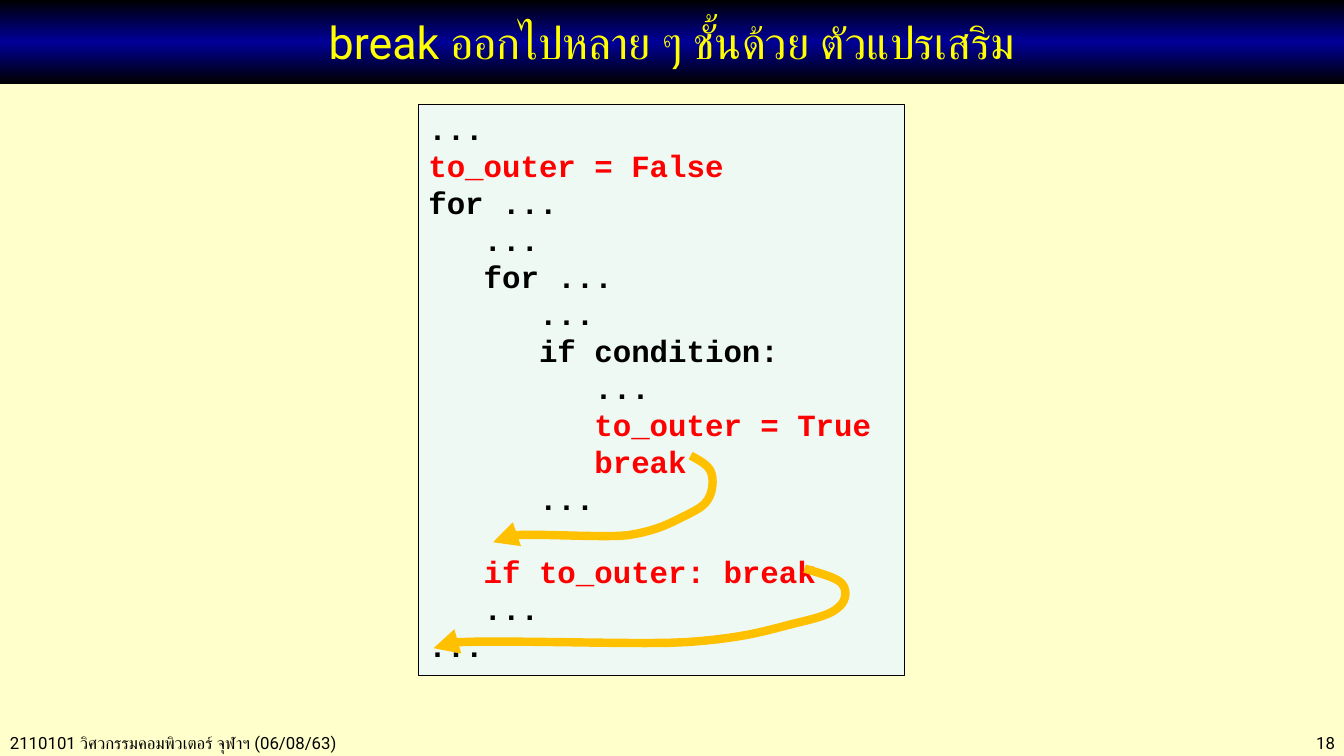
import copy
import dataclasses

import lxml.etree
import pptx
import pptx.dml.color
import pptx.enum.shapes
import pptx.enum.text
import pptx.oxml.ns
import pptx.util

RGBColor = pptx.dml.color.RGBColor
Align = pptx.enum.text.PP_ALIGN
Anchor = pptx.enum.text.MSO_ANCHOR

BLACK = RGBColor(0x00, 0x00, 0x00)
NAVY = RGBColor(0x00, 0x00, 0x99)
YELLOW = RGBColor(0xFF, 0xFF, 0x00)
CREAM = RGBColor(0xFF, 0xFF, 0xCC)
MINT = RGBColor(0xEE, 0xF9, 0xF4)
RED = RGBColor(0xFF, 0x00, 0x00)
AMBER = RGBColor(0xFF, 0xC0, 0x00)

COLUMNS, ROWS = 13.33, 7.5
CELL = pptx.util.Inches(1)
CURVE_STEPS = 12
INDENT = "   "

Point = tuple[float, float]
Bezier = tuple[Point, Point, Point]


@dataclasses.dataclass(frozen=True)
class Frame:
    column: float
    row: float
    columns: float
    rows: float

    def lengths(self) -> list[int]:
        return [cells(value) for value in dataclasses.astuple(self)]


@dataclasses.dataclass(frozen=True)
class Footer:
    frame: Frame
    text: str
    alignment: Align


@dataclasses.dataclass(frozen=True)
class CodeLine:
    depth: int
    text: str
    color: RGBColor = BLACK


@dataclasses.dataclass(frozen=True)
class JumpArrow:
    start: Point
    curves: tuple[Bezier, ...]


TITLE = "break ออกไปหลาย ๆ ชั้นด้วย ตัวแปรเสริม"
TITLE_FRAME = Frame(0, 0, COLUMNS, 0.83)
CODE_FRAME = Frame(4.15, 1.04, 4.82, 5.66)

FOOTERS = (
    Footer(Frame(0, 7.22, 5.2, 0.3), "2110101 วิศวกรรมคอมพิวเตอร์ จุฬาฯ (06/08/63)", Align.LEFT),
    Footer(Frame(11.5, 7.22, 1.84, 0.3), "18", Align.RIGHT),
)

CODE_LINES = (
    CodeLine(0, "..."),
    CodeLine(0, "to_outer = False", RED),
    CodeLine(0, "for ..."),
    CodeLine(1, "..."),
    CodeLine(1, "for ..."),
    CodeLine(2, "..."),
    CodeLine(2, "if condition:"),
    CodeLine(3, "..."),
    CodeLine(3, "to_outer = True", RED),
    CodeLine(3, "break", RED),
    CodeLine(2, "..."),
    CodeLine(1, ""),
    CodeLine(1, "if to_outer: break", RED),
    CodeLine(1, "..."),
    CodeLine(0, "..."),
)

JUMP_ARROWS = (
    JumpArrow((6.85, 4.52), (
        ((6.94, 4.57), (7.02, 4.61), (7.05, 4.68)),
        ((7.08, 4.75), (7.07, 4.87), (7.03, 4.94)),
        ((6.99, 5.01), (6.95, 5.04), (6.81, 5.11)),
        ((6.68, 5.17), (6.55, 5.26), (6.23, 5.31)),
        ((5.91, 5.35), (4.77, 5.24), (4.89, 5.38)),
    )),
    JumpArrow((7.98, 5.64), (
        ((8.14, 5.69), (8.3, 5.73), (8.35, 5.79)),
        ((8.41, 5.86), (8.39, 5.97), (8.31, 6.03)),
        ((8.24, 6.09), (8.15, 6.12), (7.9, 6.18)),
        ((7.65, 6.24), (7.41, 6.33), (6.81, 6.37)),
        ((6.21, 6.41), (4.07, 6.3), (4.3, 6.43)),
    )),
)


def cells(value: float) -> int:
    return round(value * CELL)


def format_runs(paragraph, font_name: str, size: int, color: RGBColor, bold: bool = False) -> None:
    for run in paragraph.runs:
        run.font.name = font_name
        run.font.size = pptx.util.Pt(size)
        run.font.color.rgb = color
        run.font.bold = bold


def add_rectangle(slide, frame: Frame):
    shape = slide.shapes.add_shape(pptx.enum.shapes.MSO_SHAPE.RECTANGLE, *frame.lengths())
    shape.shadow.inherit = False
    return shape


def add_footer(slide, footer: Footer) -> None:
    text_frame = slide.shapes.add_textbox(*footer.frame.lengths()).text_frame
    text_frame.word_wrap = True
    text_frame.text = footer.text
    paragraph = text_frame.paragraphs[0]
    paragraph.alignment = footer.alignment
    format_runs(paragraph, "Roboto", 12, BLACK)


def add_title(slide) -> None:
    shape = add_rectangle(slide, TITLE_FRAME)
    shape.line.fill.background()
    shape.fill.gradient()
    shape.fill.gradient_angle = 90
    stop_list = shape._element.spPr.find(".//" + pptx.oxml.ns.qn("a:gsLst"))
    stop_list.append(copy.deepcopy(stop_list[-1]))
    for stop, position, color in zip(shape.fill.gradient_stops, (0, 0.5, 1), (BLACK, NAVY, BLACK)):
        stop.position = position
        stop.color.rgb = color
    text_frame = shape.text_frame
    text_frame.vertical_anchor = Anchor.MIDDLE
    text_frame.text = TITLE
    paragraph = text_frame.paragraphs[0]
    paragraph.alignment = Align.CENTER
    format_runs(paragraph, "Roboto", 32, YELLOW)


def add_code(slide) -> None:
    shape = add_rectangle(slide, CODE_FRAME)
    shape.fill.solid()
    shape.fill.fore_color.rgb = MINT
    shape.line.color.rgb = BLACK
    shape.line.width = pptx.util.Pt(0.75)
    text_frame = shape.text_frame
    text_frame.vertical_anchor = Anchor.TOP
    text_frame.text = "\n".join(INDENT * line.depth + line.text for line in CODE_LINES)
    for paragraph, line in zip(text_frame.paragraphs, CODE_LINES):
        paragraph.alignment = Align.LEFT
        format_runs(paragraph, "Courier New", 22, line.color, bold=True)


def curve_points(arrow: JumpArrow) -> list[tuple[int, int]]:
    points = []
    start = arrow.start
    for first, second, end in arrow.curves:
        for step in range(1, CURVE_STEPS + 1):
            t = step / CURVE_STEPS
            weights = ((1 - t) ** 3, 3 * t * (1 - t) ** 2, 3 * t ** 2 * (1 - t), t ** 3)
            controls = (start, first, second, end)
            x, y = (sum(w * c[axis] for w, c in zip(weights, controls)) for axis in (0, 1))
            points.append((cells(x), cells(y)))
        start = end
    return points


def add_jump_arrow(slide, arrow: JumpArrow) -> None:
    builder = slide.shapes.build_freeform(*map(cells, arrow.start))
    builder.add_line_segments(curve_points(arrow), close=False)
    shape = builder.convert_to_shape()
    shape.shadow.inherit = False
    shape.fill.background()
    shape.line.color.rgb = AMBER
    shape.line.width = pptx.util.Pt(6)
    line = shape.line._get_or_add_ln()
    lxml.etree.SubElement(line, pptx.oxml.ns.qn("a:round"))
    lxml.etree.SubElement(line, pptx.oxml.ns.qn("a:tailEnd"), type="triangle")


def main() -> None:
    presentation = pptx.Presentation()
    presentation.slide_width = cells(COLUMNS)
    presentation.slide_height = cells(ROWS)
    slide = presentation.slides.add_slide(presentation.slide_layouts[6])
    slide.background.fill.solid()
    slide.background.fill.fore_color.rgb = CREAM
    for footer in FOOTERS:
        add_footer(slide, footer)
    add_title(slide)
    add_code(slide)
    for arrow in JUMP_ARROWS:
        add_jump_arrow(slide, arrow)
    presentation.save("out.pptx")


if __name__ == "__main__":
    main()
